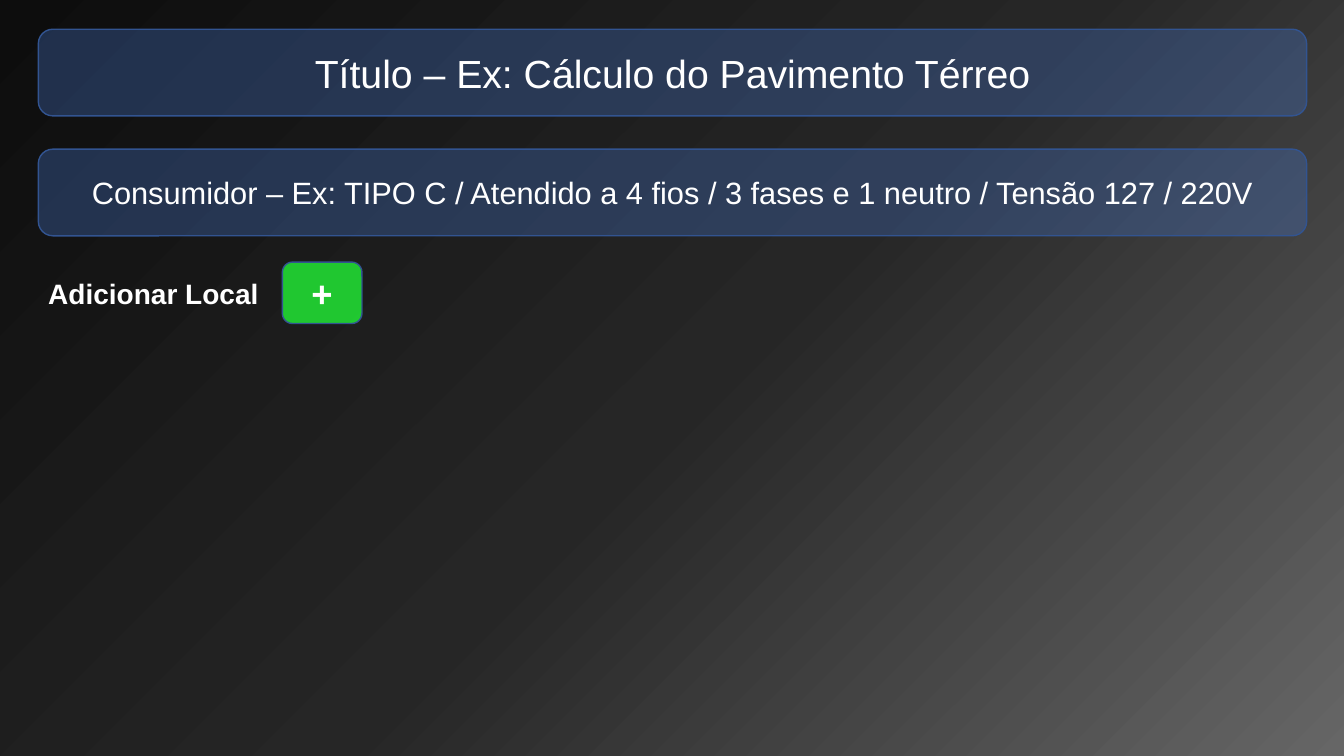
from copy import deepcopy
from dataclasses import dataclass

from pptx import Presentation
from pptx.dml.color import RGBColor
from pptx.enum.shapes import MSO_SHAPE
from pptx.enum.text import MSO_ANCHOR, MSO_AUTO_SIZE, PP_ALIGN
from pptx.oxml.ns import qn
from pptx.oxml.xmlchemy import OxmlElement
from pptx.util import Inches, Pt


@dataclass(frozen=True)
class Theme:
    font: str = "Arial"
    text: str = "FFFFFF"
    bar: str = "4472C4"
    button: str = "22FE37"
    outline: str = "325491"
    bar_opacity: int = 34
    button_opacity: int = 76
    background: tuple = ((0, "666666"), (0.48, "262626"), (1, "0D0D0D"))
    background_angle: int = 135
    title_size: int = 28
    consumer_size: int = 22
    button_size: int = 26
    label_size: int = 20


THEME = Theme()


def paint_background(page):
    fill = page.background.fill
    fill.gradient()
    fill.gradient_angle = THEME.background_angle
    # A new gradient has two stops; add the middle one
    stop_list = page.element.find(".//" + qn("a:gsLst"))
    stop_list.insert(1, deepcopy(stop_list[0]))
    for stop, (position, color) in zip(fill.gradient_stops, THEME.background):
        stop.position = position
        stop.color.rgb = RGBColor.from_string(color)


def write_text(shape, text, size, bold=False, align=PP_ALIGN.CENTER):
    frame = shape.text_frame
    frame.word_wrap = True
    frame.vertical_anchor = MSO_ANCHOR.MIDDLE
    frame.text = text
    para = frame.paragraphs[0]
    para.alignment = align
    para.font.name = THEME.font
    para.font.size = Pt(size)
    para.font.bold = bold
    para.font.color.rgb = RGBColor.from_string(THEME.text)


def add_rounded_box(page, box, color, opacity):
    shape = page.shapes.add_shape(MSO_SHAPE.ROUNDED_RECTANGLE, *map(Inches, box))
    shape.shadow.inherit = False
    shape.fill.solid()
    shape.fill.fore_color.rgb = RGBColor.from_string(color)
    alpha = OxmlElement("a:alpha")
    alpha.set("val", str(opacity * 1000))
    shape.fill._xPr.find(".//" + qn("a:srgbClr")).append(alpha)
    shape.line.color.rgb = RGBColor.from_string(THEME.outline)
    shape.line.width = Pt(1)
    return shape


def add_title_bar(page, box):
    bar = add_rounded_box(page, box, THEME.bar, THEME.bar_opacity)
    title = page.shapes.title
    title.left, title.top, title.width, title.height = map(Inches, box)
    write_text(title, "Título – Ex: Cálculo do Pavimento Térreo", THEME.title_size)
    title.text_frame.auto_size = MSO_AUTO_SIZE.NONE
    # Bring the title in front of its bar
    bar.element.addnext(title.element)


def add_consumer_bar(page, box):
    bar = add_rounded_box(page, box, THEME.bar, THEME.bar_opacity)
    write_text(
        bar,
        "Consumidor – Ex: TIPO C / Atendido a 4 fios / 3 fases e 1 neutro / Tensão 127 / 220V",
        THEME.consumer_size,
    )


def add_location_row(page, box):
    left, top, width, height = box
    button_width, label_width, label_height = 0.79, 2.38, 0.44

    # Green button at the right end of the row
    button_box = (left + width - button_width, top, button_width, height)
    button = add_rounded_box(page, button_box, THEME.button, THEME.button_opacity)
    write_text(button, "+", THEME.button_size, bold=True)

    # Label, centred on the button's height
    label_top = top + (height - label_height) / 2
    label_box = (left, label_top, label_width, label_height)
    label = page.shapes.add_textbox(*map(Inches, label_box))
    write_text(label, "Adicionar Local", THEME.label_size, True, PP_ALIGN.JUSTIFY)
    label.text_frame.auto_size = MSO_AUTO_SIZE.SHAPE_TO_FIT_TEXT


def main():
    deck = Presentation()
    deck.slide_width, deck.slide_height = Inches(13.33), Inches(7.5)
    page = deck.slides.add_slide(deck.slide_layouts[5])
    margin, bar_width, bar_height = 0.38, 12.58, 0.86

    paint_background(page)
    add_title_bar(page, (margin, 0.29, bar_width, bar_height))
    add_consumer_bar(page, (margin, 1.48, bar_width, bar_height))
    add_location_row(page, (margin, 2.6, 3.21, 0.61))
    deck.save("out.pptx")


if __name__ == "__main__":
    main()
